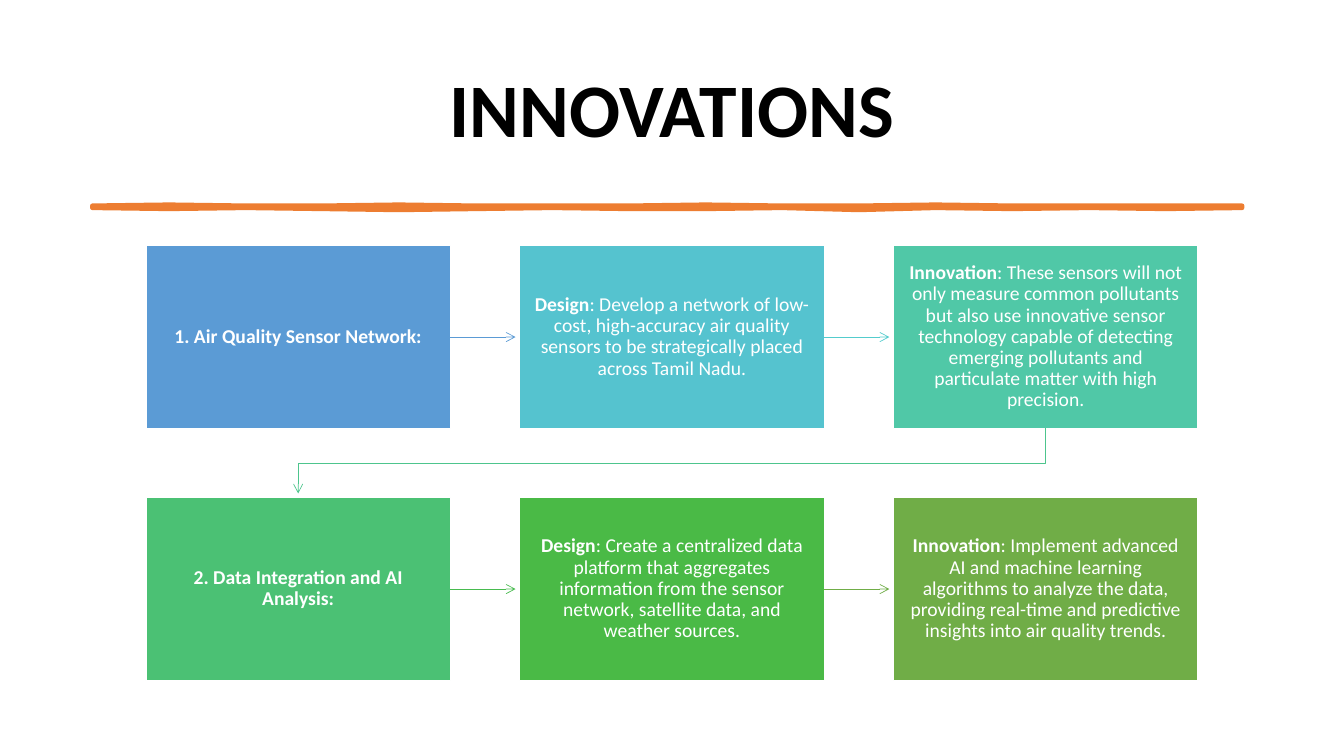
from lxml import etree
from pptx import Presentation, util as u
from pptx.dml.color import RGBColor
from pptx.enum import shapes, text
from pptx.oxml import ns

PX = 9525  # EMU per px, 96 px to the inch
COLORS = {
    "black": "000000", "white": "FFFFFF", "orange": "ED7D31",
    "blue": "5B9BD5", "cyan": "55C3CF", "teal": "50C8A7",
    "mint": "4BC174", "green": "4ABA46", "olive": "70AD47",
    "cyan line": "54CCCD", "teal line": "4DC58D", "green line": "48BB4F",
}
BOX_W, BOX_H = 290, 174
LEFT, TOP = 139, 234
STEP_X, STEP_Y = 356, 240
ARROW_GAP = 4

# fill, bold label, text after it, colour of the arrow to the next box
ROWS = [
    [("blue", "1. Air Quality Sensor Network:", "", "blue"),
     ("cyan", "Design", ": Develop a network of low-cost, high-accuracy air quality "
      "sensors to be strategically placed across Tamil Nadu.", "cyan line"),
     ("teal", "Innovation", ": These sensors will not only measure common pollutants "
      "but also use innovative sensor technology capable of detecting emerging "
      "pollutants and particulate matter with high precision.", None)],
    [("mint", "2. Data Integration and AI Analysis:", "", "green line"),
     ("green", "Design", ": Create a centralized data platform that aggregates "
      "information from the sensor network, satellite data, and weather sources.",
      "olive"),
     ("olive", "Innovation", ": Implement advanced AI and machine learning algorithms "
      "to analyze the data, providing real-time and predictive insights into air "
      "quality trends.", None)],
]
# Vertical offsets of the brush stroke's edges at equal steps
STROKE_TOP = [0, -1, 0, 0, -1, 0, 0, 0, -1, 0, 0, -1, 0, 0, 0, 0]
STROKE_BOTTOM = [0, 1, 0, 1, 2, 1, 0, 1, 1, 0, 2, 0, 1, 0, 1, 0]


class SlideBuilder:
    font = "Calibri"

    def __init__(self, slide):
        self.slide = slide

    def color(self, name):
        return RGBColor.from_string(COLORS[name])

    def add_run(self, paragraph, words, size, color, bold=False):
        run = paragraph.add_run()
        run.text = words
        run.font.name, run.font.size, run.font.bold = self.font, u.Pt(size), bold
        run.font.color.rgb = self.color(color)

    def set_line(self, shape, color, width, *extras):
        """Style the outline; extras are (tag, attributes) pairs added to it."""
        shape.line.color.rgb = self.color(color)
        shape.line.width = u.Pt(width)
        line = shape.line._get_or_add_ln()
        for tag, attributes in extras:
            etree.SubElement(line, ns.qn(tag), attributes)

    def title(self, words, x, y, width, height):
        title = self.slide.shapes.title
        title.left, title.top = x * PX, y * PX
        title.width, title.height = width * PX, height * PX
        frame = title.text_frame
        frame.auto_size = text.MSO_AUTO_SIZE.NONE
        frame.vertical_anchor = text.MSO_ANCHOR.MIDDLE
        paragraph = frame.paragraphs[0]
        paragraph.alignment, paragraph.line_spacing = text.PP_ALIGN.CENTER, 0.9
        self.add_run(paragraph, words, 54, "black", True)

    def outline(self, points, closed):
        builder = self.slide.shapes.build_freeform(*points[0], scale=PX)
        builder.add_line_segments(points[1:], close=closed)
        shape = builder.convert_to_shape()
        shape.shadow.inherit = False
        return shape

    def brush_stroke(self, x, y, step, thickness):
        top = [(x + i * step, y + d) for i, d in enumerate(STROKE_TOP)]
        bottom = [(x + i * step, y + thickness + d) for i, d in enumerate(STROKE_BOTTOM)]
        shape = self.outline(top + bottom[::-1], True)
        shape.fill.solid()
        shape.fill.fore_color.rgb = self.color("orange")
        self.set_line(shape, "orange", 3.25, ("a:round", {}))

    def box(self, x, y, fill, label, body):
        box = self.slide.shapes.add_shape(
            shapes.MSO_SHAPE.RECTANGLE, x * PX, y * PX, BOX_W * PX, BOX_H * PX)
        box.shadow.inherit = False
        box.fill.solid()
        box.fill.fore_color.rgb = self.color(fill)
        self.set_line(box, "white", 1)
        frame = box.text_frame
        frame.word_wrap = True
        frame.vertical_anchor = text.MSO_ANCHOR.MIDDLE
        frame.margin_left = frame.margin_right = 14 * PX
        frame.margin_top = frame.margin_bottom = 15 * PX
        paragraph = frame.paragraphs[0]
        paragraph.alignment, paragraph.line_spacing = text.PP_ALIGN.CENTER, 0.9
        self.add_run(paragraph, label, 14, "white", True)
        if body:
            self.add_run(paragraph, body, 14, "white")
        return box

    def arrow(self, box, x, y, color):
        """Draw an arrow from the right side of box to just before the next one."""
        end_x = x + STEP_X - ARROW_GAP
        middle = y + BOX_H // 2
        connector = self.slide.shapes.add_connector(
            shapes.MSO_CONNECTOR.STRAIGHT,
            (x + BOX_W) * PX, middle * PX, end_x * PX, middle * PX)
        connector.begin_connect(box, 3)
        self.set_line(connector, color, 0.5, ("a:tailEnd", {"type": "arrow"}))
        etree.SubElement(connector._element.spPr, ns.qn("a:effectLst"))

    def row_link(self, color):
        """Lead from the end of the first row to the start of the second."""
        start_x = LEFT + 2 * STEP_X + BOX_W // 2
        end_x = LEFT + BOX_W // 2
        start_y, end_y = TOP + BOX_H, TOP + STEP_Y - ARROW_GAP
        bend_y = TOP + (BOX_H + STEP_Y) // 2
        link = self.outline([(start_x, start_y), (start_x, bend_y),
                             (end_x, bend_y), (end_x, end_y)], False)
        link.fill.background()
        self.set_line(link, color, 0.5, ("a:tailEnd", {"type": "arrow"}))


def main():
    presentation = Presentation()
    presentation.slide_width, presentation.slide_height = 1280 * PX, 720 * PX
    slide = presentation.slides.add_slide(presentation.slide_layouts[5])
    builder = SlideBuilder(slide)
    builder.title("INNOVATIONS", 88, 38, 1104, 139)
    builder.brush_stroke(88, 196, 73, 2)
    for row, boxes in enumerate(ROWS):
        for column, (fill, label, body, arrow_color) in enumerate(boxes):
            x, y = LEFT + column * STEP_X, TOP + row * STEP_Y
            box = builder.box(x, y, fill, label, body)
            if arrow_color:
                builder.arrow(box, x, y, arrow_color)
    builder.row_link("teal line")
    presentation.save("out.pptx")


if __name__ == "__main__":
    main()
